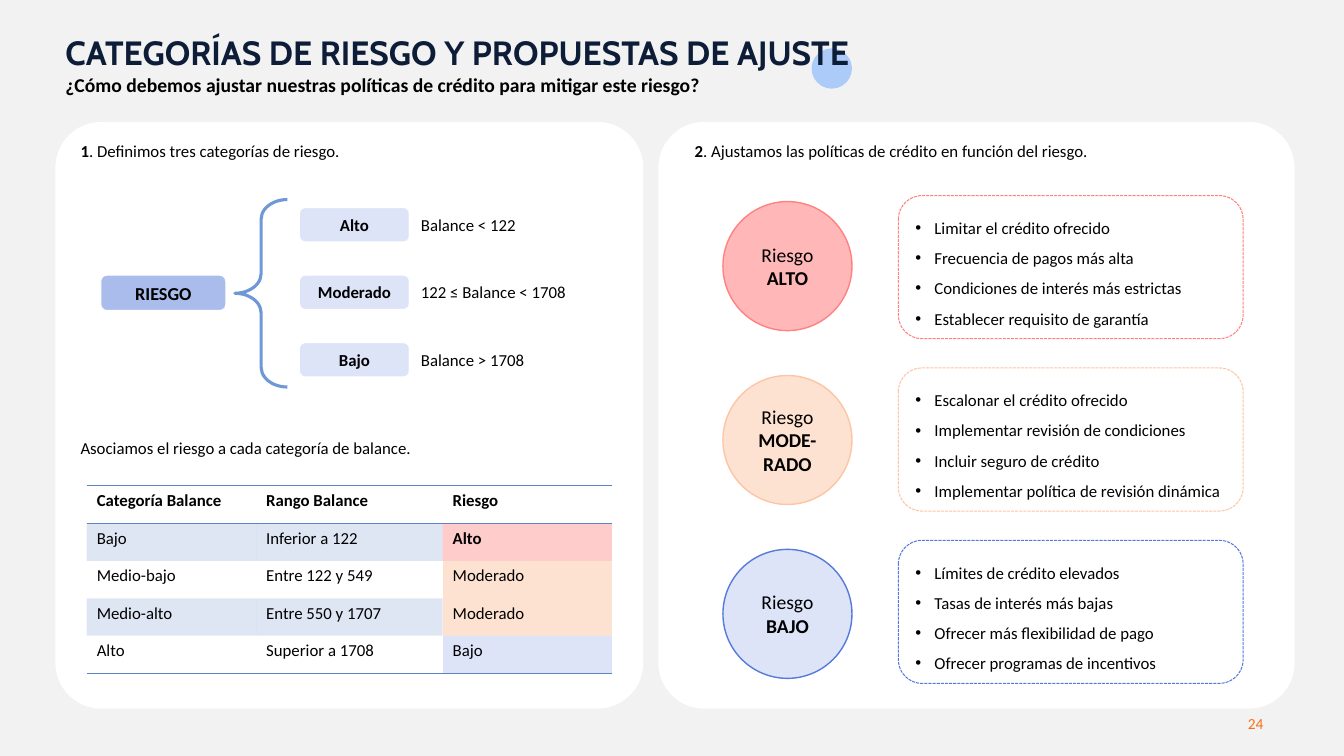
from dataclasses import dataclass
from typing import Optional, Sequence

import pptx
import pptx.dml.color
import pptx.enum.dml
import pptx.enum.shapes
import pptx.enum.text
import pptx.oxml
import pptx.oxml.ns
import pptx.util
from pptx.util import Inches

SHAPES = pptx.enum.shapes.MSO_SHAPE
ALIGN = pptx.enum.text.PP_ALIGN
ANCHOR = pptx.enum.text.MSO_ANCHOR
NAMESPACE = pptx.oxml.ns.nsdecls("a")


@dataclass(frozen=True)
class Theme:
    background: str = "F2F2F2"
    white: str = "FFFFFF"
    black: str = "000000"
    navy: str = "0D1D38"
    accent: str = "ACCBF9"
    orange: str = "FA6F1A"
    root: str = "AABCEC"
    brace: str = "6E98D6"
    table: str = "5C83C4"
    red: str = "FF0000"
    high: str = "FFB7B7"
    high_line: str = "FF8181"
    moderate: str = "FEE2D1"
    moderate_line: str = "FDC5A3"
    low: str = "DDE4F8"
    low_line: str = "557ADA"
    title_font: str = "Cabin"
    body_font: str = "Calibri"
    title_size: float = 24
    large_size: float = 14
    root_size: float = 13
    body_size: float = 12
    page_size: float = 11


THEME = Theme()


@dataclass(frozen=True)
class Box:
    left: float
    top: float
    width: float
    height: float

    def lengths(self) -> tuple:
        return tuple(Inches(v) for v in (self.left, self.top, self.width, self.height))


@dataclass(frozen=True)
class Piece:
    text: str
    bold: bool = False
    size: float = THEME.body_size
    color: str = THEME.black
    font: str = THEME.body_font


@dataclass(frozen=True)
class Category:
    label: str
    condition: str


@dataclass(frozen=True)
class Proposal:
    name: Sequence[str]
    fill: str
    line: str
    actions: Sequence[str]


@dataclass(frozen=True)
class BalanceRow:
    balance: str
    limits: str
    risk: str
    risk_fill: str
    shaded: bool = False


CATEGORIES = [
    Category("Alto", "Balance < 122"),
    Category("Moderado", "122 ≤ Balance < 1708"),
    Category("Bajo", "Balance > 1708"),
]
PROPOSALS = [
    Proposal(["ALTO"], THEME.high, THEME.high_line, [
        "Limitar el crédito ofrecido", "Frecuencia de pagos más alta",
        "Condiciones de interés más estrictas", "Establecer requisito de garantía"]),
    Proposal(["MODE-", "RADO"], THEME.moderate, THEME.moderate_line, [
        "Escalonar el crédito ofrecido", "Implementar revisión de condiciones",
        "Incluir seguro de crédito", "Implementar política de revisión dinámica"]),
    Proposal(["BAJO"], THEME.low, THEME.low_line, [
        "Límites de crédito elevados", "Tasas de interés más bajas",
        "Ofrecer más flexibilidad de pago", "Ofrecer programas de incentivos"]),
]
HEADINGS = ["Categoría Balance", "Rango Balance", "Riesgo"]
BALANCE_ROWS = [
    BalanceRow("Bajo", "Inferior a 122", "Alto", THEME.red, True),
    BalanceRow("Medio-bajo", "Entre 122 y 549", "Moderado", THEME.moderate),
    BalanceRow("Medio-alto", "Entre 550 y 1707", "Moderado", THEME.moderate, True),
    BalanceRow("Alto", "Superior a 1708", "Bajo", THEME.low),
]


def rgb(color: str) -> pptx.dml.color.RGBColor:
    return pptx.dml.color.RGBColor.from_string(color)


def write(frame, paragraphs: Sequence[Sequence[Piece]], align=ALIGN.LEFT, anchor=ANCHOR.TOP) -> None:
    frame.word_wrap = True
    frame.vertical_anchor = anchor
    for index, pieces in enumerate(paragraphs):
        paragraph = frame.add_paragraph() if index else frame.paragraphs[0]
        paragraph.alignment = align
        for piece in pieces:
            run = paragraph.add_run()
            run.text = piece.text
            run.font.name, run.font.size = piece.font, pptx.util.Pt(piece.size)
            run.font.bold = piece.bold
            run.font.color.rgb = rgb(piece.color)


def add_text(slide, box: Box, paragraphs: Sequence[Sequence[Piece]], **layout) -> None:
    write(slide.shapes.add_textbox(*box.lengths()).text_frame, paragraphs, **layout)


def add_shape(slide, kind, box: Box, fill: Optional[str] = None, line: Optional[str] = None, weight: float = 0.75):
    shape = slide.shapes.add_shape(kind, *box.lengths())
    shape.shadow.inherit = False
    if fill:
        shape.fill.solid()
        shape.fill.fore_color.rgb = rgb(fill)
    else:
        shape.fill.background()
    if line:
        shape.line.color.rgb = rgb(line)
        shape.line.width = pptx.util.Pt(weight)
    else:
        shape.line.fill.background()
    return shape


def add_label(slide, box: Box, piece: Piece, fill: Optional[str] = None, align=ALIGN.CENTER) -> None:
    shape = add_shape(slide, SHAPES.ROUNDED_RECTANGLE, box, fill, THEME.white)
    write(shape.text_frame, [[piece]], align)


def add_bullets(paragraph) -> None:
    paragraph.line_spacing = 1.5
    properties = paragraph._p.get_or_add_pPr()
    properties.set("marL", str(Inches(0.19)))
    properties.set("indent", str(Inches(-0.19)))
    properties.append(pptx.oxml.parse_xml(f'<a:buFont {NAMESPACE} typeface="Arial"/>'))
    properties.append(pptx.oxml.parse_xml(f'<a:buChar {NAMESPACE} char="•"/>'))


def add_proposal(slide, index: int, proposal: Proposal) -> None:
    circle = add_shape(slide, SHAPES.OVAL, Box(7.17, 2 + 1.725 * index, 1.28, 1.28),
                       proposal.fill, proposal.line, 1)
    first, *rest = [Piece(part, True, THEME.large_size) for part in proposal.name]
    lines = [[Piece("Riesgo ", size=THEME.large_size), first], *([piece] for piece in rest)]
    write(circle.text_frame, lines, ALIGN.CENTER, ANCHOR.MIDDLE)
    frame = add_shape(slide, SHAPES.ROUNDED_RECTANGLE, Box(8.91, 1.94 + 1.71 * index, 3.42, 1.42),
                      line=proposal.line)
    frame.line.dash_style = pptx.enum.dml.MSO_LINE.SQUARE_DOT
    write(frame.text_frame, [[Piece(action)] for action in proposal.actions])
    for paragraph in frame.text_frame.paragraphs:
        add_bullets(paragraph)


def format_cell(cell, piece: Piece, fill: Optional[str], alpha: int, borders: Sequence[str]) -> None:
    write(cell.text_frame, [[piece]])
    properties = cell._tc.get_or_add_tcPr()
    for border in borders:
        properties.append(pptx.oxml.parse_xml(
            f'<a:{border} {NAMESPACE} w="12700"><a:solidFill><a:srgbClr val="{THEME.table}"/>'
            f'</a:solidFill></a:{border}>'))
    if fill:
        properties.append(pptx.oxml.parse_xml(
            f'<a:solidFill {NAMESPACE}><a:srgbClr val="{fill}"><a:alpha val="{alpha * 1000}"/>'
            f'</a:srgbClr></a:solidFill>'))
    else:
        cell.fill.background()


def add_balance_table(slide) -> None:
    box = Box(0.86, 4.82, 5.21, 1.86)
    table = slide.shapes.add_table(len(BALANCE_ROWS) + 1, len(HEADINGS), *box.lengths()).table
    table.first_row = table.horz_banding = False
    # Plain style without grid lines
    table._tbl.tblPr.find(pptx.oxml.ns.qn("a:tableStyleId")).text = "{2D5ABB26-0587-4C30-8999-92F81FD0307C}"
    for column, width in zip(table.columns, (1.68, 1.85, 1.68)):
        column.width = Inches(width)
    for column, heading in enumerate(HEADINGS):
        format_cell(table.cell(0, column), Piece(heading, True), None, 100, ["lnT", "lnB"])
    for index, row in enumerate(BALANCE_ROWS, start=1):
        shade = THEME.table if row.shaded else None
        borders = ["lnB"] if index == len(BALANCE_ROWS) else []
        is_high = row.risk_fill == THEME.red
        format_cell(table.cell(index, 0), Piece(row.balance), shade, 20, borders)
        format_cell(table.cell(index, 1), Piece(row.limits), shade, 20, borders)
        format_cell(table.cell(index, 2), Piece(row.risk, is_high), row.risk_fill,
                    20 if is_high else 100, borders)


def main() -> None:
    presentation = pptx.Presentation()
    presentation.slide_width, presentation.slide_height = Inches(13.33), Inches(7.5)
    slide = presentation.slides.add_slide(presentation.slide_layouts[6])
    slide.background.fill.solid()
    slide.background.fill.fore_color.rgb = rgb(THEME.background)

    # Page number, accent dot, panels and title
    add_text(slide, Box(9.63, 6.98, 3, 0.4), [[Piece("24", size=THEME.page_size, color=THEME.orange)]],
             align=ALIGN.RIGHT, anchor=ANCHOR.MIDDLE)
    add_shape(slide, SHAPES.OVAL, Box(8.05, 0.48, 0.4, 0.4), THEME.accent)
    for left, width in ((0.55, 5.83), (6.53, 6.31)):
        panel = add_shape(slide, SHAPES.ROUNDED_RECTANGLE, Box(left, 1.21, width, 5.82), THEME.white)
        panel.adjustments[0] = 0.078
    add_text(slide, Box(0.55, 0.27, 12.28, 0.74), [
        [Piece("CATEGORÍAS DE RIESGO Y PROPUESTAS DE AJUSTE", True, THEME.title_size, THEME.navy, THEME.title_font)],
        [Piece("¿Cómo debemos ajustar nuestras políticas de crédito para mitigar este riesgo?", True, THEME.large_size)],
    ])

    # Risk categories
    add_text(slide, Box(0.7, 1.35, 5.51, 0.3), [[Piece("1", True), Piece(". Definimos tres categorías de riesgo.")]])
    add_label(slide, Box(1, 2.73, 1.24, 0.35), Piece("RIESGO", True, THEME.root_size), THEME.root)
    brace = add_shape(slide, SHAPES.LEFT_BRACE, Box(2.33, 1.98, 0.52, 1.86), line=THEME.brace, weight=2.25)
    brace.adjustments[0] = 0.375
    for index, category in enumerate(CATEGORIES):
        top = 2.06 + 0.67 * index
        add_label(slide, Box(2.97, top, 1.09, 0.34), Piece(category.label, True), THEME.low)
        add_label(slide, Box(4.06, top, 2.16, 0.34), Piece(category.condition), align=ALIGN.LEFT)

    # Balance table
    add_text(slide, Box(0.7, 4.29, 5.51, 0.3), [[Piece("Asociamos el riesgo a cada categoría de balance.")]])
    add_balance_table(slide)

    # Credit policy proposals
    add_text(slide, Box(6.79, 1.35, 6.02, 0.3),
             [[Piece("2", True), Piece(". Ajustamos las políticas de crédito en función del riesgo.")]])
    for index, proposal in enumerate(PROPOSALS):
        add_proposal(slide, index, proposal)

    presentation.save("out.pptx")


if __name__ == "__main__":
    main()
